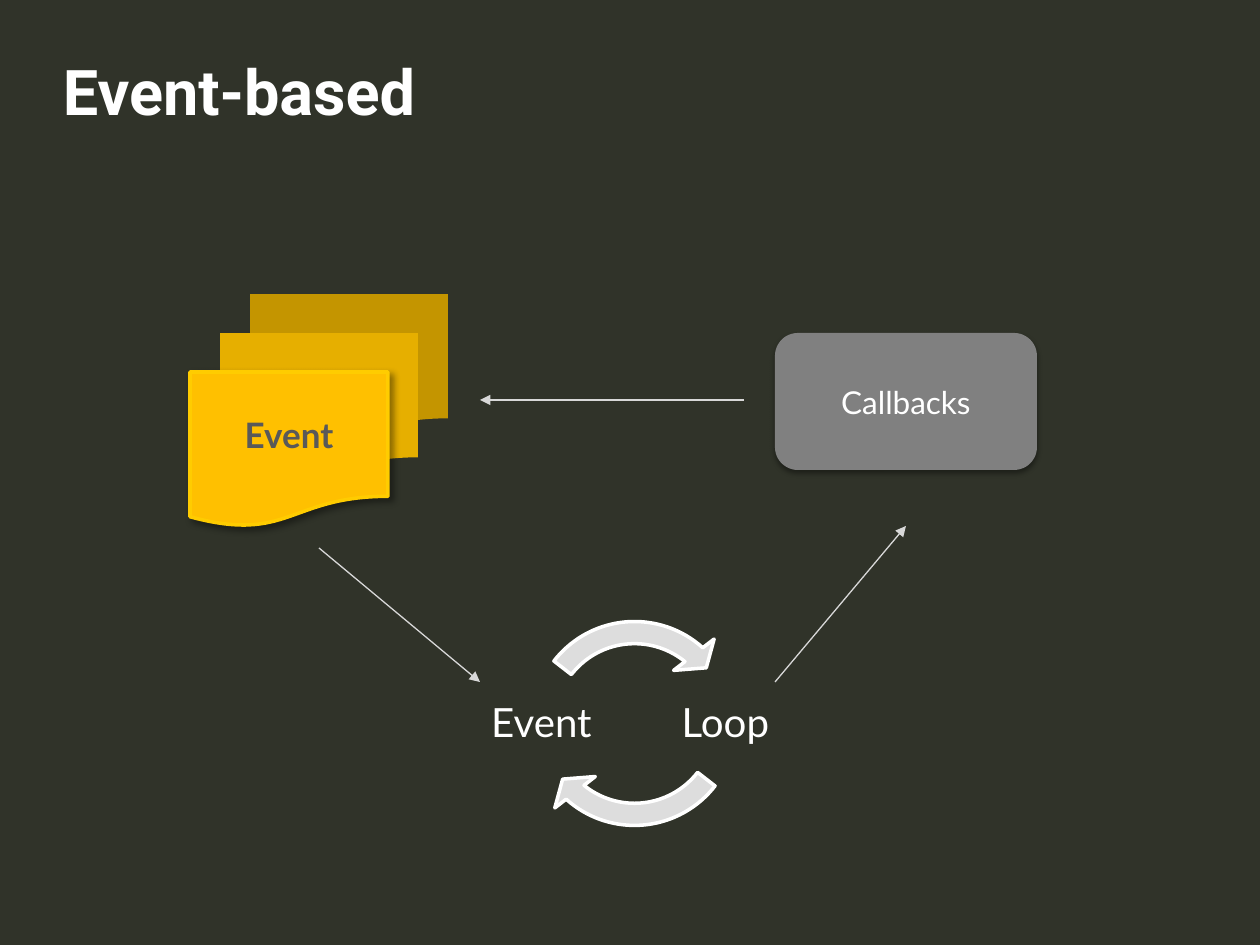
from lxml import etree
from pptx import Presentation
from pptx import util as u
from pptx.dml.color import RGBColor
from pptx.enum import shapes, text
from pptx.oxml import ns

PX = 914400 / 126
KIND = shapes.MSO_SHAPE
MID = text.MSO_ANCHOR.MIDDLE
CENTER = text.PP_ALIGN.CENTER

DARK = RGBColor(0x30, 0x33, 0x29)
WHITE = RGBColor(0xFF, 0xFF, 0xFF)
GOLD = RGBColor(0xFF, 0xC0, 0x00)
AMBER = RGBColor(0xE6, 0xAF, 0x00)
OCHRE = RGBColor(0xC4, 0x95, 0x00)
EDGE = RGBColor(0xFF, 0xCC, 0x00)
INK = RGBColor(0x59, 0x59, 0x59)
GRAY = RGBColor(0x80, 0x80, 0x80)
PALE = RGBColor(0xDD, 0xDD, 0xDD)
RULE = RGBColor(0xD8, 0xD8, 0xD8)


def emu(*px):
    return [u.Emu(round(n * PX)) for n in px]


def add(node, tag, **attrs):
    """Append a child element with the given attributes."""
    child = etree.SubElement(node, ns.qn(tag))
    for key, val in attrs.items():
        child.set(key, str(val))
    return child


def write(frame, words, size, color=WHITE, font="Lato", bold=False,
          align=CENTER, anchor=MID, inset=None, space=None):
    frame.word_wrap = True
    frame.vertical_anchor = anchor
    if inset is not None:
        frame.margin_left = frame.margin_right = emu(inset)[0]
        frame.margin_top = frame.margin_bottom = emu(inset)[0]
    para = frame.paragraphs[0]
    para.alignment = align
    if space is not None:
        para.line_spacing = space
    run = para.add_run()
    run.text = words
    run.font.size = u.Pt(size)
    run.font.name = font
    run.font.bold = bold
    run.font.color.rgb = color


class Deck:
    def __init__(self):
        self.prs = Presentation()
        self.prs.slide_width, self.prs.slide_height = emu(1260, 945)
        self.slide = self.prs.slides.add_slide(self.prs.slide_layouts[6])
        self.slide.background.fill.solid()
        self.slide.background.fill.fore_color.rgb = DARK

    def label(self, box, words, size, **style):
        item = self.slide.shapes.add_textbox(*emu(*box))
        write(item.text_frame, words, size, **style)

    def shape(self, kind, box, fill, edge=None, adjust=()):
        item = self.slide.shapes.add_shape(kind, *emu(*box))
        item.shadow.inherit = False
        item.fill.solid()
        item.fill.fore_color.rgb = fill
        if edge is None:
            item.line.fill.background()
        else:
            item.line.color.rgb = edge
            item.line.width = u.Pt(2)
        for i, val in enumerate(adjust):
            item.adjustments[i] = val
        return item

    def shade(self, item, alpha, blur, dist, angle):
        """Give the shape a black outer shadow (percent, points, degrees)."""
        effects = item._element.spPr.find(ns.qn("a:effectLst"))
        outer = add(effects, "a:outerShdw", blurRad=u.Pt(blur), dist=u.Pt(dist),
                    dir=angle * 60000, algn="ctr", rotWithShape=0)
        black = add(outer, "a:srgbClr", val="000000")
        add(black, "a:alpha", val=alpha * 1000)

    def arrow(self, start, end):
        line = self.slide.shapes.add_connector(
            shapes.MSO_CONNECTOR.STRAIGHT, *emu(*start, *end))
        line.line.color.rgb = RULE
        line.line.width = u.Pt(0.75)
        add(line.line._get_or_add_ln(), "a:tailEnd", type="triangle")
        add(line._element.spPr, "a:effectLst")


def main():
    deck = Deck()
    deck.label((63, 60, 1134, 83), "Event-based", 36, font="Roboto", bold=True,
               align=text.PP_ALIGN.LEFT, anchor=text.MSO_ANCHOR.TOP,
               inset=0, space=u.Pt(39))

    # Stack of event pages, back to front
    for i, (fill, edge) in enumerate([(OCHRE, None), (AMBER, None), (GOLD, EDGE)]):
        box = (250 - 30 * i, 294 + 39 * i, 198, 155)
        page = deck.shape(KIND.FLOWCHART_DOCUMENT, box, fill, edge)
    deck.shade(page, 40, 4, 3, 45)
    write(page.text_frame, "Event", 20, color=INK, bold=True)

    # Event loop: two words between two curved arrows
    for words, left in (("Loop", 669), ("Event", 485)):
        deck.label((left, 668, 113, 113), words, 23, inset=4, space=0.9)
    for turn in (0, 108):
        deck.shape(KIND.CIRCULAR_ARROW, (518, 607, 233, 233), PALE, WHITE,
                   (0.095, 6.85, 78.49 + turn, 22.66 + turn, 0.11))

    calls = deck.shape(KIND.ROUNDED_RECTANGLE, (775, 333, 262, 137), GRAY)
    deck.shade(calls, 38, 3.1, 1.6, 90)
    write(calls.text_frame, "Callbacks", 18)

    for start, end in (((319, 548), (480, 682)),
                       ((775, 682), (906, 526)),
                       ((744, 400), (480, 400))):
        deck.arrow(start, end)

    deck.prs.save("out.pptx")


if __name__ == "__main__":
    main()
